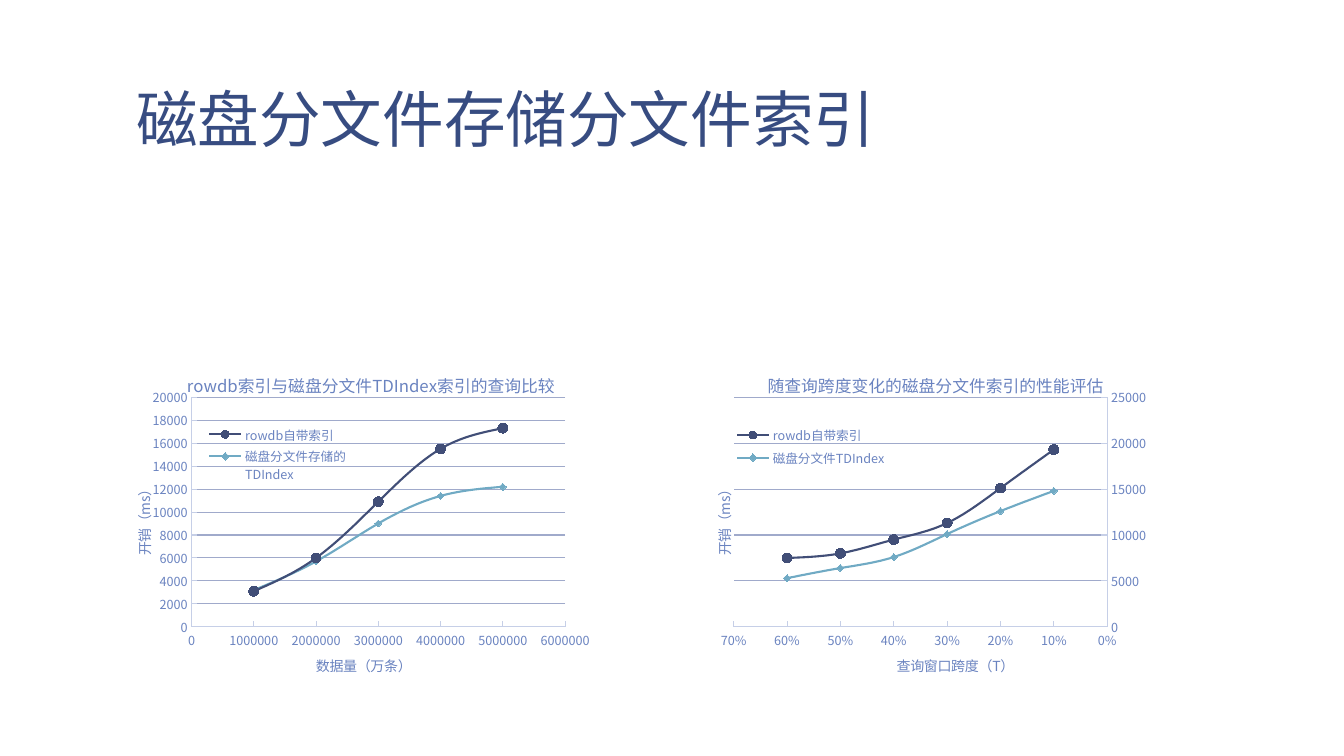
from lxml import etree
from pptx import Presentation
from pptx.chart.data import XyChartData
from pptx.dml.color import RGBColor
from pptx.enum.chart import (XL_CHART_TYPE, XL_LEGEND_POSITION,
                             XL_MARKER_STYLE, XL_TICK_MARK)
from pptx.enum.text import MSO_ANCHOR, PP_ALIGN
from pptx.oxml.ns import qn
from pptx.util import Inches, Pt

SMOOTH = XL_CHART_TYPE.XY_SCATTER_SMOOTH
LEFT = XL_LEGEND_POSITION.LEFT
INSIDE, NONE = XL_TICK_MARK.INSIDE, XL_TICK_MARK.NONE
NAVY = RGBColor(0x37, 0x4C, 0x81)
BLUE = RGBColor(0x6A, 0x83, 0xC0)
PALE = RGBColor(0xC6, 0xCF, 0xE7)
GRID = RGBColor(0xA0, 0xAA, 0xCB)
DARK = RGBColor(0x41, 0x4E, 0x77)
TEAL = RGBColor(0x70, 0xAA, 0xC4)
FACE = "Noto Sans CJK SC"
STYLES = [(DARK, XL_MARKER_STYLE.CIRCLE, 7), (TEAL, XL_MARKER_STYLE.DIAMOND, 5)]


def write(frame, text, size=10, color=BLUE, turn=None):
    """Put one formatted line in a text frame, with an optional rotation."""
    para = frame.paragraphs[0]
    run = para.add_run()
    run.text = text
    run.font.size = Pt(size)
    run.font.bold = False
    run.font.color.rgb = color
    run.font.name = FACE
    etree.SubElement(run._r.get_or_add_rPr(), qn("a:ea"), typeface=FACE)
    if turn is not None:
        body = frame._txBody.find(qn("a:bodyPr"))
        body.set("rot", str(turn * 60000))
        body.set("vert", "horz")
    return para


def place(node, **box):
    """Set a manual chart layout, in fractions of the chart."""
    old = node.find(qn("c:layout"))
    if old is not None:
        node.remove(old)
    layout = etree.Element(qn("c:layout"))
    manual = etree.SubElement(layout, qn("c:manualLayout"))
    if node.tag == qn("c:plotArea"):
        etree.SubElement(manual, qn("c:layoutTarget"), val="inner")
    for key in "xy":
        etree.SubElement(manual, qn(f"c:{key}Mode"), val="edge")
    for key, part in box.items():
        etree.SubElement(manual, qn(f"c:{key}"), val=str(part))
    over = node.find(qn("c:overlay"))
    if over is None:
        node.insert(0, layout)
    else:
        over.addprevious(layout)


CHARTS = [
    dict(left=1.22, title="rowdb索引与磁盘分文件TDIndex索引的查询比较",
         label="数据量（万条）", top=6000000, step=1000000, form="General",
         high=20000, unit=2000, flip=False, plot=0.144,
         key=dict(x=0.165, y=0.19, w=0.32, h=0.21),
         xs=[1000000, 2000000, 3000000, 4000000, 5000000],
         rows=[("rowdb自带索引", [3100, 6000, 10900, 15500, 17300]),
               ("磁盘分文件存储的TDIndex", [3200, 5700, 9000, 11400, 12200])]),
    dict(left=6.98, title="随查询跨度变化的磁盘分文件索引的性能评估",
         label="查询窗口跨度（T）", top=0.7, step=0.1, form="0%",
         high=25000, unit=5000, flip=True, plot=0.063,
         key=dict(x=0.035, y=0.19, w=0.38, h=0.16),
         xs=[0.1, 0.2, 0.3, 0.4, 0.5, 0.6],
         rows=[("rowdb自带索引", [19300, 15100, 11300, 9500, 8000, 7500]),
               ("磁盘分文件TDIndex", [14800, 12600, 10100, 7600, 6400, 5300])]),
]

deck = Presentation()
deck.slide_width, deck.slide_height = Inches(13.33), Inches(7.5)
slide = deck.slides.add_slide(deck.slide_layouts[5])

title = slide.shapes.title
title.left, title.top = Inches(1.22), Inches(0.08)
title.width, title.height = Inches(8.75), Inches(1.53)
frame = title.text_frame
frame.vertical_anchor = MSO_ANCHOR.BOTTOM
frame.margin_left = frame.margin_right = Inches(0.13)
frame.margin_top = frame.margin_bottom = Inches(0.07)
head = write(frame, "磁盘分文件存储分文件索引", size=44, color=NAVY)
head.alignment = PP_ALIGN.LEFT
head.line_spacing = 0.85

for item in CHARTS:
    data = XyChartData()
    for name, ys in item["rows"]:
        row = data.add_series(name)
        for x, y in zip(item["xs"], ys):
            row.add_data_point(x, y)
    chart = slide.shapes.add_chart(SMOOTH, Inches(item["left"]), Inches(3.59),
                                   Inches(4.72), Inches(3.15), data).chart
    chart.font.size = Pt(10)
    chart.font.color.rgb = NAVY
    chart.font.name = FACE
    chart.plots[0].vary_by_categories = False
    place(chart._chartSpace.chart.plotArea,
          x=item["plot"], y=0.113, w=0.785, h=0.734)

    chart.has_title = True
    write(chart.chart_title.text_frame, item["title"], size=12)
    place(chart.chart_title._element, x=0.128, y=0.02)

    chart.has_legend = True
    legend = chart.legend
    legend.position = LEFT
    legend.include_in_layout = False
    place(legend._element, **item["key"])

    across, up = chart.category_axis, chart.value_axis
    across.maximum_scale, across.major_unit = item["top"], item["step"]
    across.reverse_order = item["flip"]
    across.has_major_gridlines = False
    up.maximum_scale, up.major_unit = item["high"], item["unit"]
    up.has_major_gridlines = True
    up.major_gridlines.format.line.color.rgb = GRID
    up.major_gridlines.format.line.width = Pt(0.75)
    for axis, text, form, turn, spot in [
            (across, item["label"], item["form"], 0, dict(x=0.4, y=0.925)),
            (up, "开销（ms）", "General", -90, dict(x=0.015, y=0.38))]:
        axis.minimum_scale = 0
        axis.major_tick_mark, axis.minor_tick_mark = INSIDE, NONE
        axis.format.line.color.rgb = PALE
        axis.format.line.width = Pt(0.75)
        axis.tick_labels.number_format = form
        axis.tick_labels.number_format_is_linked = False
        axis.has_title = True
        write(axis.axis_title.text_frame, text, turn=turn)
        place(axis.axis_title._element, **spot)
    for font in (legend.font, across.tick_labels.font, up.tick_labels.font):
        font.size = Pt(9)
        font.color.rgb = BLUE
        font.name = FACE

    for row, (color, style, size) in zip(chart.plots[0].series, STYLES):
        row._element.find(qn("c:smooth")).set("val", "1")
        row.format.line.color.rgb = color
        row.format.line.width = Pt(1.5)
        row.marker.style, row.marker.size = style, size
        row.marker.format.fill.solid()
        row.marker.format.fill.fore_color.rgb = color
        row.marker.format.line.color.rgb = color

deck.save("out.pptx")
